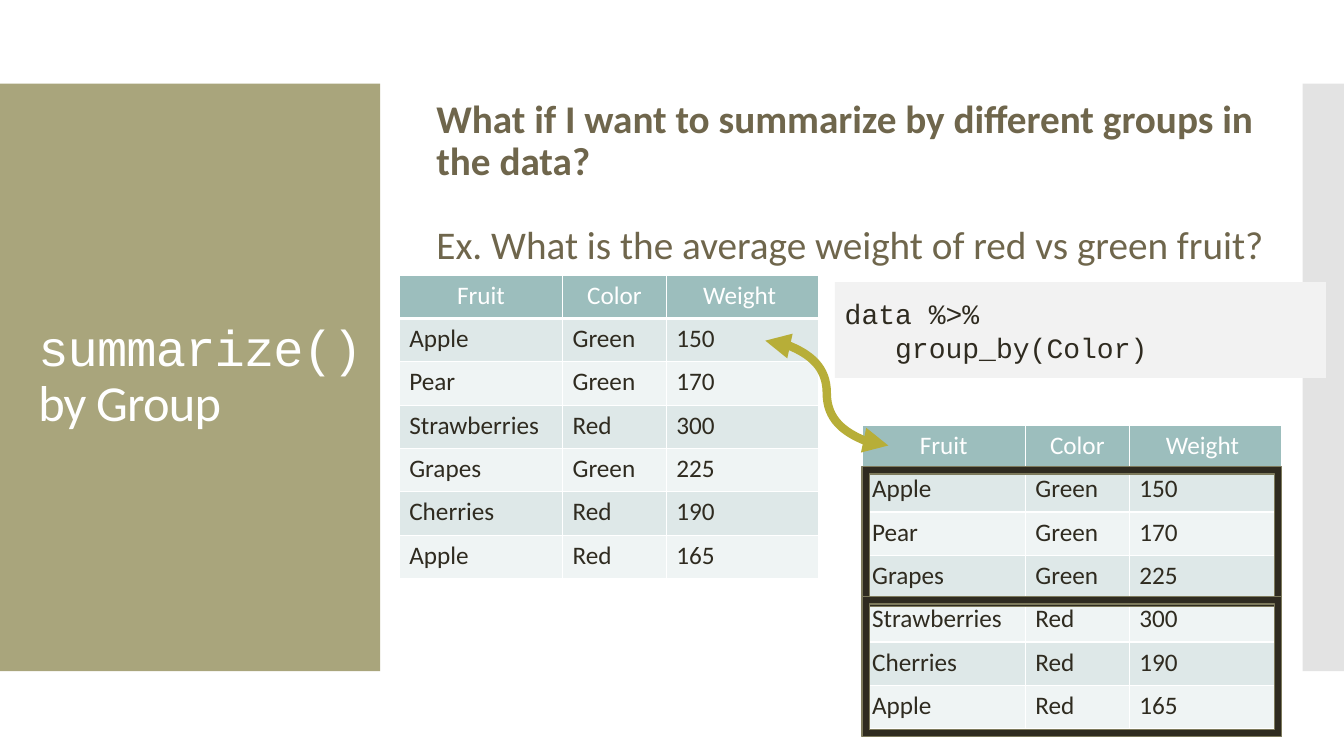
"""Build the slide on summarizing data by group."""
from lxml import etree
from pptx import Presentation
from pptx import util as u
from pptx.dml.color import RGBColor
from pptx.enum import shapes as s, text as t
from pptx.oxml import ns

WHITE = RGBColor(0xFF, 0xFF, 0xFF)
OLIVE = RGBColor(0xA9, 0xA5, 0x7C)
GREY = RGBColor(0xC8, 0xC8, 0xC8)
BROWN = RGBColor(0x6F, 0x66, 0x4C)
DARK = RGBColor(0x2F, 0x2B, 0x20)
EDGE = RGBColor(0x7D, 0x7A, 0x5C)
TEAL = RGBColor(0x9C, 0xBE, 0xBD)
BANDS = RGBColor(0xDE, 0xE8, 0xE8), RGBColor(0xEF, 0xF4, 0xF4)
GOLD = RGBColor(0xB7, 0xAE, 0x38)
PALE = RGBColor(0xF2, 0xF2, 0xF2)
SANS, MONO = "Calibri", "Courier New"

HEAD = "Fruit", "Color", "Weight "
FRUIT = [
    ("Apple", "Green", "150"),
    ("Pear", "Green", "170"),
    ("Strawberries", "Red", "300"),
    ("Grapes", "Green", "225"),
    ("Cherries", "Red", "190"),
    ("Apple", "Red", "165"),
]
COLS = 1.62, 1.03, 1.51
ROW = 0.43


def box(at):
    return [u.Inches(n) for n in at]


def sub(node, tag, **attrs):
    return etree.SubElement(node, ns.qn(tag), attrs)


def add_run(para, words, size, color, font=SANS, bold=False):
    run = para.add_run()
    run.text = words
    face = run.font
    face.name, face.size, face.bold = font, u.Pt(size), bold
    face.color.rgb = color
    return run


def add_block(slide, kind, at, fill, edge=None, alpha=None):
    block = slide.shapes.add_shape(kind, *box(at))
    block.shadow.inherit = False
    block.fill.solid()
    block.fill.fore_color.rgb = fill
    if alpha:
        tint = block._element.spPr.find(".//" + ns.qn("a:srgbClr"))
        sub(tint, "a:alpha", val=str(alpha * 1000))
    if edge:
        block.line.color.rgb = edge
        block.line.width = u.Pt(0.85)
    else:
        block.line.fill.background()
    return block


def set_title(slide):
    title = slide.shapes.title
    title.left, title.top, title.width, title.height = box((0.28, 1.23, 3.42, 5.03))
    slide.shapes._spTree.append(title._element)
    frame = title.text_frame
    frame.word_wrap, frame.auto_size = True, t.MSO_AUTO_SIZE.NONE
    frame.vertical_anchor = t.MSO_ANCHOR.MIDDLE
    frame.margin_right = 0
    para = frame.paragraphs[0]
    para.alignment, para.line_spacing = t.PP_ALIGN.LEFT, 0.9
    for words, font in (("summarize() ", MONO), ("by Group", SANS)):
        run = add_run(para, words, 36, WHITE, font)
        run.font._element.set("spc", "-60")


def add_body(slide):
    frame = slide.shapes.add_textbox(*box((4.23, 0.94, 8.48, 6.23))).text_frame
    frame.word_wrap = True
    ask, case = frame.paragraphs[0], frame.add_paragraph()
    ask.line_spacing = case.line_spacing = 0.9
    case.space_before = u.Pt(29.5)
    add_run(ask, "What if I want to summarize by different groups in the data?",
            28, BROWN, bold=True)
    add_run(case, "Ex. What is the average weight of red vs green fruit?", 28, BROWN)


def set_edges(cell, base):
    props = cell._tc.get_or_add_tcPr()
    for side, width in (("L", 1), ("R", 1), ("T", 1), ("B", base)):
        line = sub(props, "a:ln" + side, w=str(u.Pt(width)))
        sub(sub(line, "a:solidFill"), "a:srgbClr", val=str(WHITE))


def add_grid(slide, left, top, data):
    rows = [HEAD, *data]
    size = (left, top, sum(COLS), ROW * len(rows))
    grid = slide.shapes.add_table(len(rows), len(COLS), *box(size)).table
    grid.horz_banding = False
    for col, width in zip(grid.columns, COLS):
        col.width = u.Inches(width)
    for i, row in enumerate(rows):
        grid.rows[i].height = u.Inches(ROW)
        for j, words in enumerate(row):
            cell = grid.cell(i, j)
            set_edges(cell, 1 if i else 3)
            cell.fill.solid()
            cell.fill.fore_color.rgb = BANDS[(i - 1) % 2] if i else TEAL
            para = cell.text_frame.paragraphs[0]
            para.alignment = t.PP_ALIGN.LEFT if i else t.PP_ALIGN.CENTER
            add_run(para, words, 18, DARK if i else WHITE)


def add_arrow(slide):
    ends = box((7.59, 3.38, 8.81, 4.42))
    arrow = slide.shapes.add_connector(s.MSO_CONNECTOR.CURVE, *ends)
    arrow.line.color.rgb = GOLD
    arrow.line.width = u.Pt(6)
    line = arrow.line._get_or_add_ln()
    for tag in ("a:headEnd", "a:tailEnd"):
        sub(line, tag, type="triangle")
    sub(arrow._element.spPr, "a:effectLst")


def add_code(slide):
    code = add_block(slide, s.MSO_SHAPE.RECTANGLE, (8.28, 2.8, 4.87, 0.95), PALE)
    frame = code.text_frame
    frame.word_wrap = True
    frame.vertical_anchor = t.MSO_ANCHOR.MIDDLE
    first, step = frame.paragraphs[0], frame.add_paragraph()
    step._p.get_or_add_pPr().set("marL", str(u.Inches(0.5)))
    for para, words in ((first, "data %>%"), (step, "group_by(Color)")):
        para.alignment = t.PP_ALIGN.LEFT
        add_run(para, words, 20, DARK, MONO)


def main():
    deck = Presentation()
    deck.slide_width, deck.slide_height = box((13.33, 7.5))
    slide = deck.slides.add_slide(deck.slide_layouts[5])
    add_block(slide, s.MSO_SHAPE.RECTANGLE, (0, 0.83, 3.77, 5.83), OLIVE)
    add_block(slide, s.MSO_SHAPE.RECTANGLE, (12.92, 0.83, 0.41, 5.83), GREY, alpha=50)
    add_body(slide)
    set_title(slide)
    add_grid(slide, 3.96, 2.73, FRUIT)
    add_grid(slide, 8.55, 4.22, sorted(FRUIT, key=lambda row: row[1]))
    for top in (4.63, 5.92):
        group = add_block(slide, s.MSO_SHAPE.FRAME, (8.55, top, 4.16, 1.39), DARK, EDGE)
        group.adjustments[0] = 0.052
    add_arrow(slide)
    add_code(slide)
    deck.save("out.pptx")


if __name__ == "__main__":
    main()
